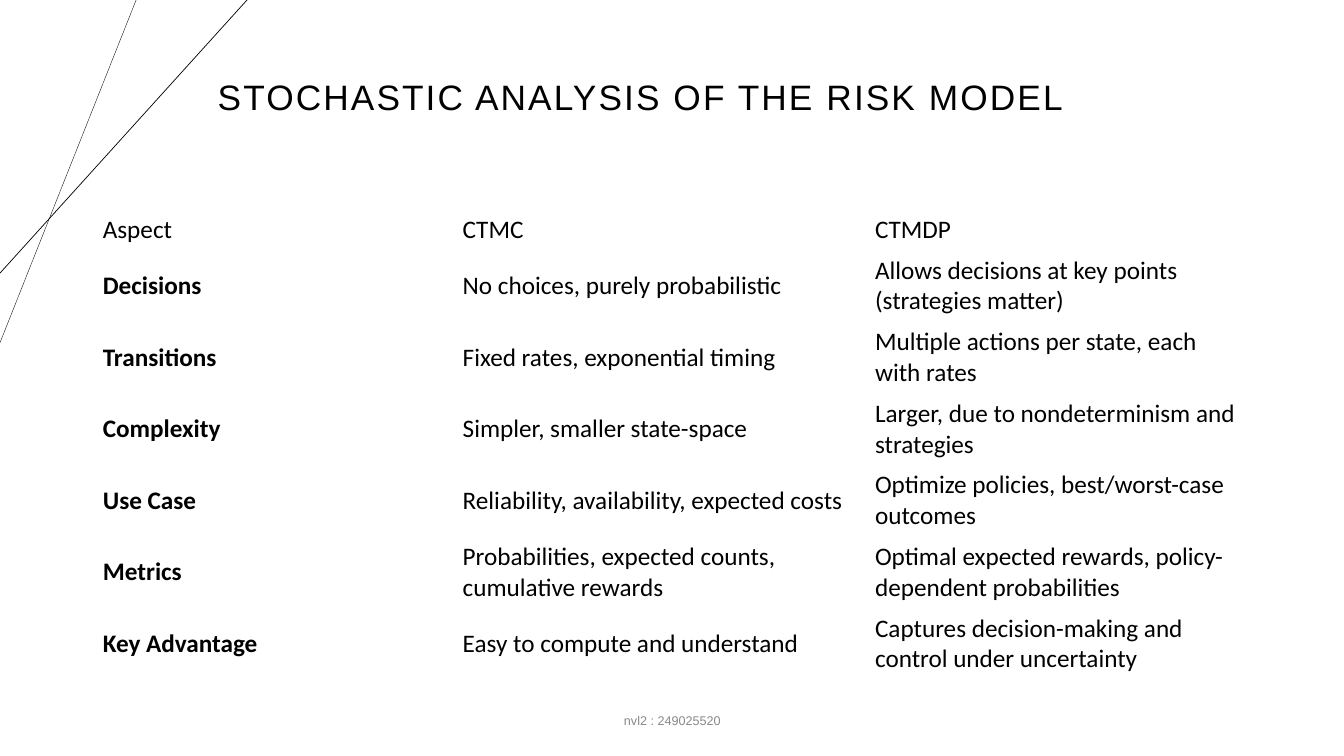
from typing import NamedTuple

from lxml.etree import SubElement
from pptx import Presentation
from pptx.dml.color import RGBColor
from pptx.enum.shapes import MSO_CONNECTOR
from pptx.enum.text import MSO_ANCHOR, MSO_AUTO_SIZE, PP_ALIGN
from pptx.oxml.ns import qn
from pptx.util import Inches, Pt

SLIDE_WIDTH = Inches(13.333)
SLIDE_HEIGHT = Inches(7.5)
INK = "000000"
FOOTER_GREY = "898989"


class Box(NamedTuple):
    """An area, in percent of the slide's width and height."""
    left: float
    top: float
    width: float
    height: float


class Diagonal(NamedTuple):
    """A line from the top edge to the left edge, in percent."""
    top_edge: float
    left_edge: float
    weight: float


class Aspect(NamedTuple):
    name: str
    ctmc: str
    ctmdp: str


TITLE_BOX = Box(15.45, 8, 76.65, 10.13)
FOOTER_BOX = Box(33.15, 92.67, 33.75, 5.33)
COLUMN_WIDTHS = (26.78, 30.68, 28.73)
HEADER_HEIGHT, ASPECT_HEIGHT = 5.33, 9.47

DIAGONALS = (Diagonal(10.13, 45.33, 0.25), Diagonal(18.38, 36.13, 0.5))

COMPARISON = (
    Aspect("Aspect", "CTMC", "CTMDP"),
    Aspect("Decisions", "No choices, purely probabilistic",
           "Allows decisions at key points (strategies matter)"),
    Aspect("Transitions", "Fixed rates, exponential timing",
           "Multiple actions per state, each with rates"),
    Aspect("Complexity", "Simpler, smaller state-space",
           "Larger, due to nondeterminism and strategies"),
    Aspect("Use Case", "Reliability, availability, expected costs",
           "Optimize policies, best/worst-case outcomes"),
    Aspect("Metrics", "Probabilities, expected counts, cumulative rewards",
           "Optimal expected rewards, policy-dependent probabilities"),
    Aspect("Key Advantage", "Easy to compute and understand",
           "Captures decision-making and control under uncertainty"),
)
TABLE_BOX = Box(6.9, 27.73, sum(COLUMN_WIDTHS),
                HEADER_HEIGHT + ASPECT_HEIGHT * (len(COMPARISON) - 1))


def across(percent: float) -> int:
    return round(SLIDE_WIDTH * percent / 100)


def down(percent: float) -> int:
    return round(SLIDE_HEIGHT * percent / 100)


def place(box: Box) -> tuple:
    return across(box.left), down(box.top), across(box.width), down(box.height)


def color(hex_value: str) -> RGBColor:
    return RGBColor.from_string(hex_value)


def write(frame, text: str, font_name: str, size: float, ink: str = INK,
          bold: bool = False, align=PP_ALIGN.LEFT):
    """Fill a text frame with one formatted paragraph."""
    frame.word_wrap = True
    paragraph = frame.paragraphs[0]
    paragraph.text = text
    paragraph.alignment = align
    font = paragraph.font
    font.name, font.size, font.bold = font_name, Pt(size), bold
    font.color.rgb = color(ink)
    return paragraph


def draw_diagonal(slide, diagonal: Diagonal) -> None:
    line = slide.shapes.add_connector(
        MSO_CONNECTOR.STRAIGHT, across(diagonal.top_edge), 0,
        0, down(diagonal.left_edge))
    line.line.color.rgb = color(INK)
    line.line.width = Pt(diagonal.weight)
    SubElement(line._element.spPr, qn("a:effectLst"))


def draw_title(slide, text: str) -> None:
    title = slide.shapes.title
    title.left, title.top, title.width, title.height = place(TITLE_BOX)
    frame = title.text_frame
    frame.auto_size = MSO_AUTO_SIZE.NONE
    frame.vertical_anchor = MSO_ANCHOR.MIDDLE
    heading = write(frame, text, "Arial", 25.2)
    heading.line_spacing = 0.9
    heading.runs[0]._r.get_or_add_rPr().set("spc", "150")


def draw_footer(slide, text: str) -> None:
    frame = slide.shapes.add_textbox(*place(FOOTER_BOX)).text_frame
    frame.vertical_anchor = MSO_ANCHOR.MIDDLE
    write(frame, text, "Arial", 9, FOOTER_GREY, align=PP_ALIGN.CENTER)


def draw_comparison(slide) -> None:
    table = slide.shapes.add_table(
        len(COMPARISON), len(COLUMN_WIDTHS), *place(TABLE_BOX)).table
    table.first_row = table.horz_banding = False
    for column, width in zip(table.columns, COLUMN_WIDTHS):
        column.width = across(width)
    for r, aspect in enumerate(COMPARISON):
        table.rows[r].height = down(ASPECT_HEIGHT if r else HEADER_HEIGHT)
        for c, text in enumerate(aspect):
            cell = table.cell(r, c)
            cell.fill.background()
            cell.vertical_anchor = MSO_ANCHOR.MIDDLE
            write(cell.text_frame, text, "Calibri", 18, bold=r > 0 and c == 0)


def main() -> None:
    deck = Presentation()
    deck.slide_width, deck.slide_height = SLIDE_WIDTH, SLIDE_HEIGHT
    slide = deck.slides.add_slide(deck.slide_layouts.get_by_name("Title Only"))

    # Corner decoration
    for diagonal in DIAGONALS:
        draw_diagonal(slide, diagonal)

    # Heading, footer and comparison table
    draw_title(slide, "STOCHASTIC ANALYSIS OF THE RISK MODEL")
    draw_footer(slide, "nvl2 : 249025520")
    draw_comparison(slide)

    deck.save("out.pptx")


if __name__ == "__main__":
    main()
